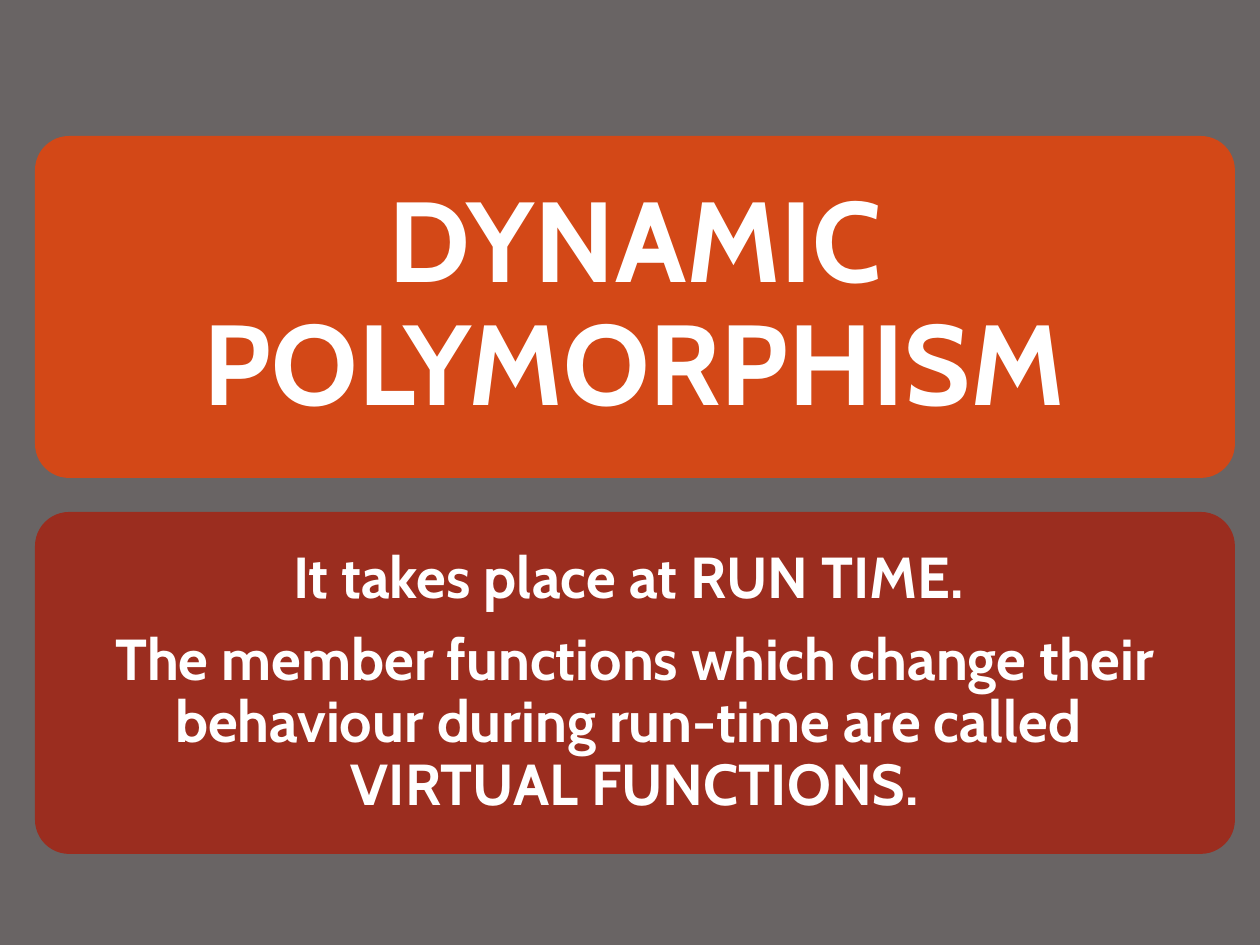
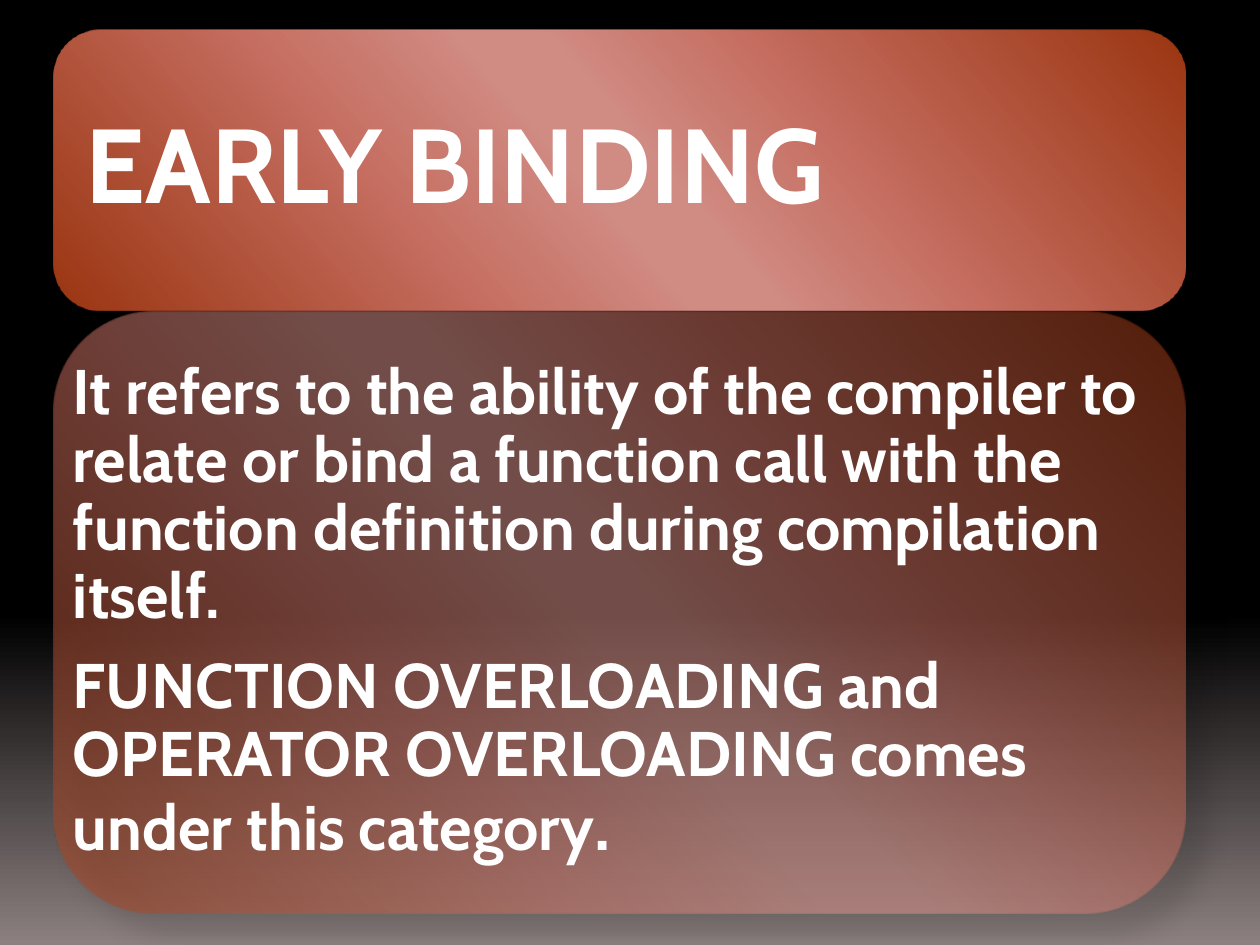
from pptx import Presentation
from pptx.dml.color import RGBColor
from pptx.enum.shapes import MSO_SHAPE
from pptx.enum.text import MSO_ANCHOR, PP_ALIGN
from pptx.oxml import parse_xml
from pptx.oxml.ns import nsdecls, qn
from pptx.util import Emu, Pt

ROUND_RECT = MSO_SHAPE.ROUNDED_RECTANGLE
MIDDLE = MSO_ANCHOR.MIDDLE
LEFT, CENTER = PP_ALIGN.LEFT, PP_ALIGN.CENTER

COLORS = {
    "grey": "696464", "orange": "D34817", "red": "9B2D1F", "white": "FFFFFF",
    "black": "000000", "mist": "8C8080",
    "rust": "A93A12", "coral": "DA7A6C", "rose": "E59A91",
}
FONT = "Cabin"
LINE_SPACING = 0.9
PARA_GAP = 0.35  # share of the text size
FADE = [(0, "black"), (65, "black"), (100, "mist")]
SHEEN = [(0, "rust"), (33, "coral"), (47, "rose"),
         (53, "rose"), (68, "coral"), (100, "rust")]


def px(length):
    return Emu(round(length * 914400 / 126))


def color(name):
    return RGBColor.from_string(COLORS[name])


def add_text(para, text, size, bold=True, tint="white"):
    """Add text to a paragraph; a vertical tab becomes a line break."""
    for index, line in enumerate(text.split("\v")):
        if index:
            para.add_line_break()
        span = para.add_run()
        span.text = line
        span.font.name = FONT
        span.font.size = Pt(size)
        span.font.bold = bold
        span.font.color.rgb = color(tint)


class Slides:
    def __init__(self):
        self.deck = Presentation()
        self.deck.slide_width, self.deck.slide_height = px(1260), px(945)
        self.page = None

    def new_page(self):
        self.page = self.deck.slides.add_slide(self.deck.slide_layouts[6])
        return self.page.background.fill

    def gradient(self, owner, fill, stops, angle, opacity=100):
        """Fill a page or a shape with stops of (percent, color name)."""
        fill.gradient()
        node = next(owner._element.iter(qn("a:gradFill")))
        marks = "".join(
            f'<a:gs pos="{place * 1000}"><a:srgbClr val="{COLORS[name]}">'
            f'<a:alpha val="{opacity * 1000}"/></a:srgbClr></a:gs>'
            for place, name in stops)
        node.getparent().replace(node, parse_xml(
            f'<a:gradFill {nsdecls("a")} rotWithShape="1"><a:gsLst>{marks}</a:gsLst>'
            f'<a:lin ang="{angle * 60000}" scaled="0"/></a:gradFill>'))

    def panel(self, left, top, width, height, corner):
        shape = self.page.shapes.add_shape(
            ROUND_RECT, px(left), px(top), px(width), px(height))
        shape.adjustments[0] = corner
        shape.line.fill.background()
        shape.shadow.inherit = False
        return shape

    def flat_panel(self, *area, fill):
        shape = self.panel(*area, corner=0.1)
        shape.fill.solid()
        shape.fill.fore_color.rgb = color(fill)

    def glossy_panel(self, *area, opacity):
        shape = self.panel(*area, corner=0.1667)
        self.gradient(shape, shape.fill, SHEEN, 139, opacity)
        effects = next(shape._element.iter(qn("a:effectLst")))
        effects.append(parse_xml(
            f'<a:outerShdw {nsdecls("a")} blurRad="{Pt(15)}" dist="{Pt(18)}" '
            f'dir="{45 * 60000}" algn="tl" rotWithShape="0">'
            f'<a:srgbClr val="{COLORS["black"]}"><a:alpha val="26000"/></a:srgbClr>'
            '</a:outerShdw>'))

    def text(self, *area, paragraphs, inset, align=LEFT):
        """Write paragraphs, each a list of (text, size) spans."""
        box = self.page.shapes.add_textbox(*map(px, area))
        frame = box.text_frame
        frame.word_wrap = True
        frame.vertical_anchor = MIDDLE
        frame.margin_left = frame.margin_right = px(inset)
        frame.margin_top = frame.margin_bottom = px(inset)
        for index, spans in enumerate(paragraphs):
            para = frame.add_paragraph() if index else frame.paragraphs[0]
            para.alignment = align
            para.line_spacing = LINE_SPACING
            para.space_after = Pt(round(spans[0][1] * PARA_GAP, 1))
            for text, size in spans:
                add_text(para, text, size)


def dynamic_polymorphism(slides):
    background = slides.new_page()
    background.solid()
    background.fore_color.rgb = color("grey")

    # Two equal panels, heading above explanation
    heading, explanation = [(35, 136 + row * 376, 1200, 342) for row in range(2)]
    slides.flat_panel(*heading, fill="orange")
    slides.text(*heading, inset=34, align=CENTER,
                paragraphs=[[("DYNAMIC POLYMORPHISM", 65)]])
    slides.flat_panel(*explanation, fill="red")
    slides.text(*explanation, inset=18, align=CENTER, paragraphs=[
        [("It takes place at RUN TIME. ", 33)],
        [("The member functions which change their behaviour during run-time "
          "are called \vVIRTUAL FUNCTIONS.", 33)],
    ])


def early_binding(slides):
    background = slides.new_page()
    slides.gradient(slides.page, background, FADE, 90)

    # Heading
    heading = (54, 30, 1131, 280)
    slides.glossy_panel(*heading, opacity=90)
    slides.text(*heading, inset=32, paragraphs=[[("EARLY BINDING", 60)]])

    # Explanation
    explanation = (54, 312, 1131, 602)
    slides.glossy_panel(*explanation, opacity=50)
    slides.text(*explanation, inset=19, paragraphs=[
        [("It refers to the ability of the compiler to relate or bind a function "
          "call with the function definition during compilation itself.", 36)],
        [("FUNCTION OVERLOADING and OPERATOR OVERLOADING comes under this category", 36),
         (".", 40)],
    ])


def main():
    slides = Slides()
    dynamic_polymorphism(slides)
    early_binding(slides)
    slides.deck.save("out.pptx")


if __name__ == "__main__":
    main()
